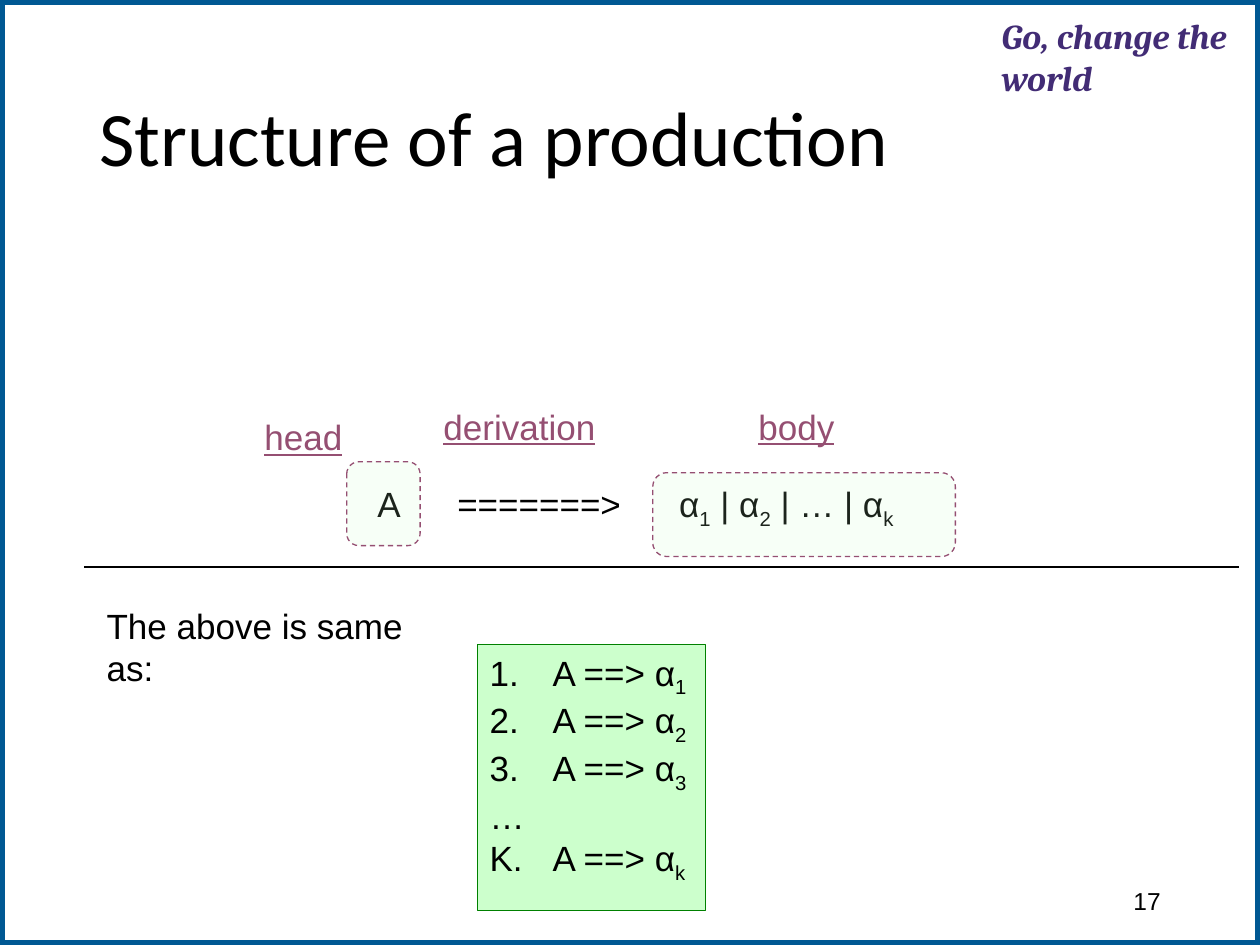
import pptx
import pptx.dml.color
import pptx.enum.dml
import pptx.enum.shapes
import pptx.enum.text
import pptx.oxml
import pptx.oxml.ns
import pptx.util
from lxml import etree
from pptx.util import Cm

COLORS = {
    "white": "FFFFFF",
    "black": "000000",
    "frame": "005893",
    "motto": "422C75",
    "label": "954F72",
    "mint": "CCFFCC",
    "green": "008000",
}
SHAPES = pptx.enum.shapes.MSO_SHAPE
ALIGN = pptx.enum.text.PP_ALIGN
ANCHOR = pptx.enum.text.MSO_ANCHOR


def rgb(name):
    return pptx.dml.color.RGBColor.from_string(COLORS[name])


def write_text(paragraph, text, *, size=20, font="Arial", color="black",
               bold=False, italic=False, underline=False, align=ALIGN.LEFT):
    """Fill a paragraph; the character after each "_" becomes a subscript."""
    paragraph.alignment = align
    first, *rest = text.split("_")
    pieces = [(first, False)]
    for part in rest:
        pieces += [(part[0], True), (part[1:], False)]
    for piece, subscript in pieces:
        if not piece:
            continue
        run = paragraph.add_run()
        run.text = piece
        run.font.size = pptx.util.Pt(size)
        run.font.name = font
        run.font.color.rgb = rgb(color)
        run.font.bold = bold
        run.font.italic = italic
        run.font.underline = underline
        if subscript:
            run.font._element.set("baseline", "-25000")


def add_child(parent, tag, **attributes):
    return etree.SubElement(parent, pptx.oxml.ns.qn(tag), attributes)


def add_tabs(paragraph, *stops):
    tab_list = add_child(paragraph._p.get_or_add_pPr(), "a:tabLst")
    for stop in stops:
        add_child(tab_list, "a:tab", pos=str(Cm(stop)), algn="l")


def add_hanging_indent(paragraph, indent, numbered):
    properties = paragraph._p.get_or_add_pPr()
    properties.set("marL", str(Cm(indent)))
    properties.set("indent", str(-Cm(indent)))
    if numbered:
        add_child(properties, "a:buFont", typeface="+mj-lt")
        add_child(properties, "a:buAutoNum", type="arabicPeriod")
    else:
        add_child(properties, "a:buNone")


class SlideBuilder:
    def __init__(self, presentation):
        self.slide = presentation.slides.add_slide(presentation.slide_layouts[5])

    def title(self, text, left, top, width, height):
        title = self.slide.shapes.title
        title.left, title.top = Cm(left), Cm(top)
        title.width, title.height = Cm(width), Cm(height)
        title.text_frame.vertical_anchor = ANCHOR.MIDDLE
        paragraph = title.text_frame.paragraphs[0]
        paragraph.line_spacing = 0.9
        write_text(paragraph, text, size=44, font="Calibri")

    def text(self, text, left, top, width, height=1.09, *,
             inset=True, anchor=ANCHOR.TOP, tabs=(), **style):
        box = self.slide.shapes.add_textbox(Cm(left), Cm(top), Cm(width), Cm(height))
        frame = box.text_frame
        frame.word_wrap = True
        frame.vertical_anchor = anchor
        if not inset:
            frame.margin_left = frame.margin_right = 0
            frame.margin_top = frame.margin_bottom = 0
        paragraph = frame.paragraphs[0]
        if tabs:
            add_tabs(paragraph, *tabs)
        write_text(paragraph, text, **style)

    def box(self, kind, left, top, width, height, *, fill, line,
            line_width=0.75, opacity=None, dashed=False):
        shape = self.slide.shapes.add_shape(
            kind, Cm(left), Cm(top), Cm(width), Cm(height))
        shape.shadow.inherit = False
        shape.fill.solid()
        shape.fill.fore_color.rgb = rgb(fill)
        shape.line.color.rgb = rgb(line)
        shape.line.width = pptx.util.Pt(line_width)
        if dashed:
            shape.line.dash_style = pptx.enum.dml.MSO_LINE.DASH
        if opacity is not None:
            color = shape._element.spPr.find(".//" + pptx.oxml.ns.qn("a:srgbClr"))
            add_child(color, "a:alpha", val=str(opacity * 1000))
        return shape

    def production_list(self, items, left, top, width, height):
        """Draw a filled box; items are (text, numbered) pairs."""
        shape = self.box(SHAPES.RECTANGLE, left, top, width, height,
                         fill="mint", line="green")
        frame = shape.text_frame
        frame.word_wrap = True
        frame.vertical_anchor = ANCHOR.TOP
        for index, (text, numbered) in enumerate(items):
            paragraph = frame.add_paragraph() if index else frame.paragraphs[0]
            add_hanging_indent(paragraph, 1.27, numbered)
            write_text(paragraph, text)

    def rule(self, left, right, y):
        connector = self.slide.shapes.add_connector(
            pptx.enum.shapes.MSO_CONNECTOR.STRAIGHT,
            Cm(left), Cm(y), Cm(right), Cm(y))
        connector.line.color.rgb = rgb("black")
        connector.line.width = pptx.util.Pt(0.75)
        add_child(connector._element.spPr, "a:effectLst")


def main():
    presentation = pptx.Presentation()
    presentation.slide_width, presentation.slide_height = Cm(25.4), Cm(19.05)
    builder = SlideBuilder(presentation)

    frame = builder.box(SHAPES.RECTANGLE, 0, 0, 25.4, 19.05,
                        fill="white", line="frame", line_width=6)
    title = builder.slide.shapes.title
    title._element.addprevious(frame._element)
    builder.text("Go, change the world", 20.19, 0.3, 5.2, 1.57, inset=False,
                 font="Cambria", color="motto", bold=True, italic=True)
    builder.title("Structure of a production", 1.75, 1.02, 21.9, 3.68)
    builder.text("17", 17.93, 17.65, 5.72, 1.02, anchor=ANCHOR.MIDDLE,
                 size=14, align=ALIGN.RIGHT)

    builder.text("A\t=======>\tα_1 | α_2 | … | α_k", 7.36, 9.6, 11.5,
                 tabs=(1.61, 6.08))
    for left, top, width in ((6.99, 9.31, 1.48), (13.16, 9.53, 6.1)):
        builder.box(SHAPES.ROUNDED_RECTANGLE, left, top, width, 1.69,
                    fill="mint", line="label", opacity=14, dashed=True)
    for label, left, top, width in (("head", 5.08, 8.26, 2.3),
                                    ("derivation", 8.69, 8.05, 3.8),
                                    ("body", 15.04, 8.05, 2.3)):
        builder.text(label, left, top, width, color="label", underline=True)

    builder.rule(1.7, 24.97, 11.43)
    builder.text("The above is same as:", 1.9, 12.07, 7.5)
    numbered = [(f"A ==> α_{number}", True) for number in (1, 2, 3)]
    builder.production_list(numbered + [("…", False), ("K.\tA ==> α_k", False)],
                            9.62, 13, 4.6, 5.36)
    presentation.save("out.pptx")


if __name__ == "__main__":
    main()
